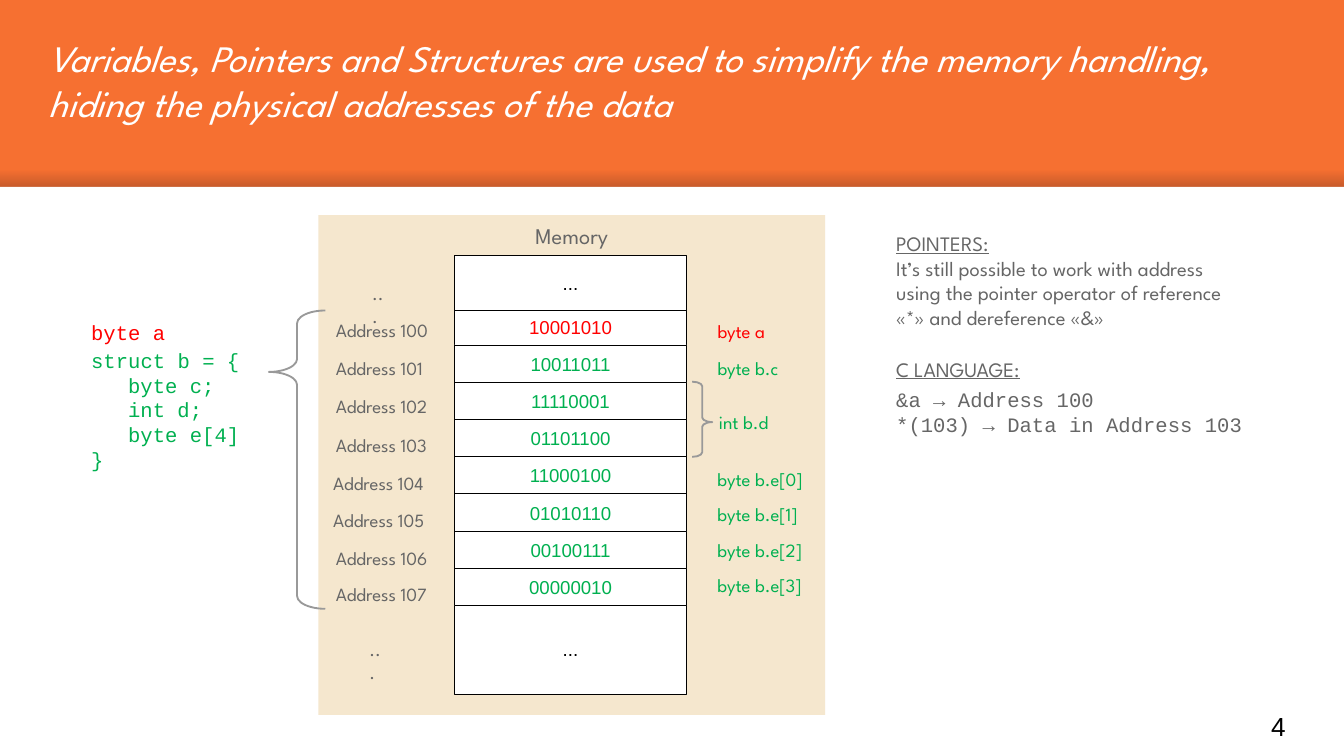
from pptx import Presentation
from pptx.dml.color import RGBColor
from pptx.enum.shapes import MSO_SHAPE as Shape
from pptx.enum.text import MSO_ANCHOR as Anchor, PP_ALIGN as Align
from pptx.oxml.ns import qn
from pptx.util import Pt
from lxml.etree import SubElement

PX = 9144
WIDE = 1000 * PX
HIGH = WIDE * 9 // 16
SANS, MONO, PLAIN = "League Spartan", "Courier New", "Arial"
ORANGE, WHITE, BLACK, SAND = "F67031", "FFFFFF", "000000", "E8C588"
GREY, LINE, RED, GREEN = "666666", "999999", "FF0000", "00B050"

TITLE = ("Variables, Pointers and Structures are used to simplify the memory "
         "handling, hiding the physical addresses of the data")
BYTES = [
    ("10001010", RED), ("10011011", GREEN), ("11110001", GREEN),
    ("01101100", GREEN), ("11000100", GREEN), ("01010110", GREEN),
    ("00100111", GREEN), ("00000010", GREEN),
]
PLACES = [(240, 232), (240, 261), (240, 289), (240, 318),
          (238, 346), (238, 374), (240, 402), (240, 429)]
NAMES = [
    ("byte a", 524, 233, 59, RED), ("byte b.c", 524, 261, 69, GREEN),
    ("int b.d", 525, 301, 59, GREEN), ("byte b.e[0]", 524, 343, 87, GREEN),
    ("byte b.e[1]", 524, 369, 87, GREEN), ("byte b.e[2]", 524, 396, 87, GREEN),
    ("byte b.e[3]", 524, 422, 87, GREEN),
]
STRUCT = [("struct b = {", 0), ("byte c;", 3), ("int d;", 3),
          ("byte e[4]", 3), ("}", 0)]
NOTES = [
    ("POINTERS:", True, 0),
    ("It’s still possible to work with address using the pointer operator "
     "of reference «*» and dereference «&»", False, 0),
    ("C LANGUAGE:", True, 14.5),
]
USAGE = ["&a → Address 100", "*(103) → Data in Address 103"]
BRACES = [((200, 231, 42, 222), 180, 0.794), ((515, 284, 15, 56), 0, 0.538)]


def rgb(code):
    return RGBColor.from_string(code)


def box(*at):
    return [round(n * PX) for n in at]


def alpha(clr, share):
    SubElement(clr, qn("a:alpha")).set("val", str(share * 1000))


def add_run(para, words, font, size, color):
    run = para.add_run()
    run.text = words
    run.font.name, run.font.size = font, Pt(size)
    run.font.color.rgb = rgb(color)
    return run


def shape(at, fill=None, line=None, width=0.5, kind=Shape.RECTANGLE):
    item = slide.shapes.add_shape(kind, *box(*at))
    item.shadow.inherit = False
    if fill:
        item.fill.solid()
        item.fill.fore_color.rgb = rgb(fill)
    else:
        item.fill.background()
    if line:
        item.line.color.rgb = rgb(line)
        item.line.width = Pt(width)
    else:
        item.line.fill.background()
    return item


def label(item, words, font, size, color, anchor=Anchor.MIDDLE):
    item.text_frame.vertical_anchor = anchor
    para = item.text_frame.paragraphs[0]
    para.alignment = Align.CENTER
    add_run(para, words, font, size, color)


def text(at, lines, font, size, color, pad=None):
    frame = slide.shapes.add_textbox(*box(*at)).text_frame
    frame.word_wrap = True
    if pad:
        frame.margin_top = frame.margin_bottom = pad * PX
    runs = []
    for i, words in enumerate(lines):
        para = frame.add_paragraph() if i else frame.paragraphs[0]
        runs.append((para, add_run(para, words, font, size, color)))
    return frame, runs


def cell(top, high, words, color):
    label(shape((338, top, 173, high), WHITE, BLACK), words, PLAIN, 10, color)


deck = Presentation()
deck.slide_width, deck.slide_height = WIDE, HIGH
slide = deck.slides.add_slide(deck.slide_layouts[6])
slide.background.fill.solid()
slide.background.fill.fore_color.rgb = rgb(ORANGE)

shade = shape((0, 127, 1000, 12), BLACK)
shade.fill.gradient()
shade.fill.gradient_angle = 90
for stop in shade.fill.gradient_stops:
    stop.color.rgb = rgb("000014")
for clr, share in zip(list(shade._element.spPr.iter(qn("a:srgbClr"))), (20, 0)):
    alpha(clr, share)

shape((0, 139, 1000, 423.5), WHITE)
frame, runs = text((936, 519, 60, 43), ["4"], PLAIN, 14, BLACK, 10)
frame.vertical_anchor = Anchor.MIDDLE
frame, runs = text((26, 16, 931, 117), [TITLE], SANS, 20, WHITE, 10)
runs[0][1].font.italic = True

panel = shape((237, 160, 377, 372), SAND)
alpha(next(panel._element.spPr.iter(qn("a:srgbClr"))), 41)
label(panel, "Memory", SANS, 12, GREY, Anchor.TOP)

cell(449, 68, "...", BLACK)
for i, (bits, color) in enumerate(BYTES):
    cell(229 + 27.7 * i, 28, bits, color)
cell(190, 41, "...", BLACK)
for i, (left, top) in enumerate(PLACES):
    text((left, top, 101, 27), [f"Address {100 + i}"], SANS, 10, GREY)
for left, top in ((267, 205), (265, 470)):
    text((left, top, 30, 27), ["..."], SANS, 10, GREY)
for name, left, top, wide, color in NAMES:
    text((left, top, wide, 27), [name], SANS, 10, color)
for at, turn, tip in BRACES:
    brace = shape(at, line=LINE, width=1, kind=Shape.RIGHT_BRACE)
    brace.rotation = turn
    brace.adjustments[0], brace.adjustments[1] = 0.229, tip

text((58, 233, 76, 29), ["byte a"], MONO, 11, RED)
frame, runs = text((58, 254, 132, 103), [s[0] for s in STRUCT], MONO, 11, GREEN)
for (para, run), (words, depth) in zip(runs, STRUCT):
    para._p.get_or_add_pPr().set("marL", str(Pt(6.6 * depth)))

frame, runs = text((657, 167, 270, 123), [n[0] for n in NOTES], SANS, 11, GREY)
for (para, run), (words, under, gap) in zip(runs, NOTES):
    run.font.underline = under
    para.space_before = Pt(gap)
text((657, 283, 286, 47), USAGE, MONO, 11, GREY)

deck.save("out.pptx")
